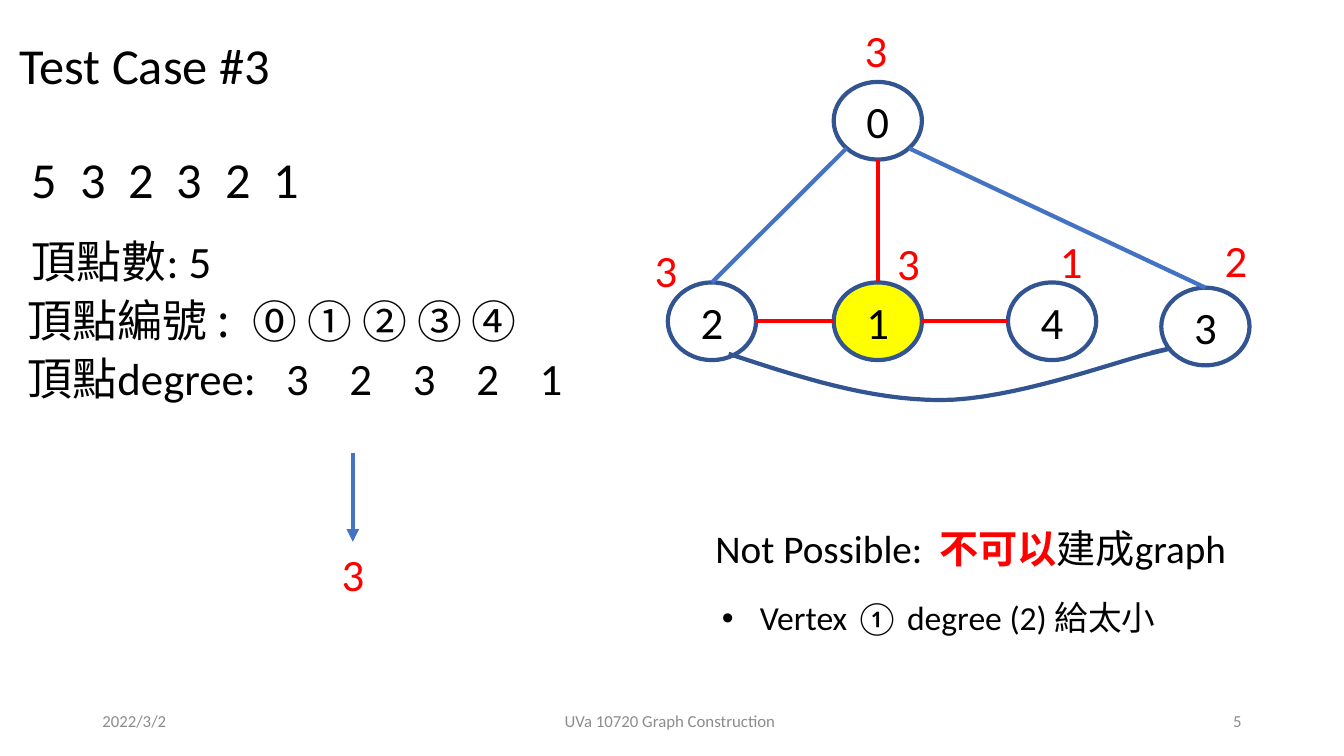
from lxml.etree import SubElement
from pptx import Presentation
from pptx.dml.color import RGBColor
from pptx.enum.shapes import MSO_CONNECTOR as Connector, MSO_SHAPE as Shape
from pptx.enum.text import MSO_ANCHOR as Anchor, MSO_AUTO_SIZE as AutoSize, PP_ALIGN as Align
from pptx.oxml.ns import qn
from pptx.util import Pt

PX = 9525
LATIN, CJK = "Calibri", "Noto Sans CJK SC"
BLACK, RED, GRAY, YELLOW = "000000", "FF0000", "8C8C8C", "FFFF00"
BLUE, NAVY = "4472C4", "325491"
NODE_W, NODE_H = 84, 74
DIAGONAL = 0.71


def px(value):
    """Turn px into EMU."""
    return round(value * PX)


def color(hex_text):
    """Turn a hex string into a colour."""
    return RGBColor.from_string(hex_text)


def write(box, spans, size, align=Align.LEFT, anchor=Anchor.TOP, tabs=()):
    """Fill a shape with one paragraph of (text, font, colour, bold) spans."""
    frame = box.text_frame
    frame.word_wrap = True
    frame.auto_size = AutoSize.NONE
    frame.vertical_anchor = anchor
    para = frame.paragraphs[0]
    para.alignment = align
    para.space_before = Pt(0)
    if tabs:
        tab_list = SubElement(para._p.get_or_add_pPr(), qn("a:tabLst"))
        for stop in tabs:
            SubElement(tab_list, qn("a:tab"), pos=str(px(stop)), algn="l")
    for text, font, hex_text, bold in spans:
        span = para.add_run()
        span.text = text
        span.font.size = Pt(size)
        span.font.bold = bold
        span.font.color.rgb = color(hex_text)
        span.font.name = font
        if font == CJK:
            SubElement(span._r.get_or_add_rPr(), qn("a:ea"), typeface=font)
    return para


def plain(text, font=LATIN, hex_text=BLACK, bold=False):
    """Describe one span of text."""
    return text, font, hex_text, bold


def place(shape, left, top, width, height):
    """Move a placeholder to a box."""
    shape.left, shape.top, shape.width, shape.height = map(px, (left, top, width, height))


def add_text(page, box, spans, size, **layout):
    """Add a text box."""
    shape = page.shapes.add_textbox(*map(px, box))
    write(shape, spans, size, **layout)


def add_degree(page, left, top, text):
    """Add a red degree number."""
    add_text(page, (left, top, 51, 61), [plain(text, hex_text=RED)], 32)


def add_line(page, start, end, hex_text, arrow=False):
    """Add a straight line, with an arrowhead at its end if asked."""
    line = page.shapes.add_connector(Connector.STRAIGHT, *map(px, (*start, *end)))
    line.line.color.rgb = color(hex_text)
    line.line.width = Pt(3)
    if arrow:
        SubElement(line.line._get_or_add_ln(), qn("a:tailEnd"), type="triangle")
    SubElement(line._element.spPr, qn("a:effectLst"))


def outline(shape, fill=None):
    """Give a shape the graph outline and an optional fill."""
    shape.shadow.inherit = False
    shape.line.color.rgb = color(NAVY)
    shape.line.width = Pt(3)
    if fill:
        shape.fill.solid()
        shape.fill.fore_color.rgb = color(fill)
    else:
        shape.fill.background()


def add_curve(page, start, segments, steps=16):
    """Add an open outline through cubic Bezier segments."""
    points, origin = [], start
    for first, second, end in segments:
        for step in range(1, steps + 1):
            t = step / steps
            weights = ((1 - t) ** 3, 3 * t * (1 - t) ** 2, 3 * t * t * (1 - t), t ** 3)
            corners = (origin, first, second, end)
            points.append(tuple(
                px(sum(w * corner[axis] for w, corner in zip(weights, corners)))
                for axis in (0, 1)))
        origin = end
    builder = page.shapes.build_freeform(px(start[0]), px(start[1]))
    builder.add_line_segments(points, close=False)
    outline(builder.convert_to_shape())


def add_input(page, left, top):
    """Place the title, the input line and its explanation."""
    place(page.shapes.title, left, top, 274, 68)
    write(page.shapes.title, [plain("Test Case #3")], 36)
    add_text(page, (left + 12, top + 108, 293, 68), [plain("5\t3\t2\t3\t2\t1")], 36,
             tabs=[46 * i for i in range(1, 6)])
    add_text(page, (left + 12, top + 190, 220, 61),
             [plain("頂點數", CJK), plain(": 5")], 32)
    add_text(page, (left + 8, top + 246, 312, 61), [plain("頂點編號 :", CJK)], 32)
    add_text(page, (left + 222, top + 247, 394, 61), [plain("⓪ ① ② ③ ④", CJK)], 32)
    add_text(page, (left + 8, top + 301, 541, 61),
             [plain("頂點", CJK), plain("degree:\t3\t2\t3\t2\t1")], 32,
             tabs=[246 + 60.4 * i for i in range(5)])
    add_line(page, (left + 327, top + 403), (left + 327, top + 488), BLUE, arrow=True)
    add_degree(page, left + 307, top + 488, "3")


def add_graph(page, left, top):
    """Place the vertices, edges and degrees of the graph."""
    vertices = {
        "0": (left + 158, top, None),
        "2": (left, top + 191, None),
        "1": (left + 158, top + 191, YELLOW),
        "4": (left + 324, top + 191, None),
        "3": (left + 470, top + 196, None),
    }

    def rim(name, across, down):
        """Give the point on a vertex's rim in a direction."""
        x, y, _ = vertices[name]
        return x + NODE_W / 2 * (1 + across), y + NODE_H / 2 * (1 + down)

    for name, (x, y, fill) in vertices.items():
        node = page.shapes.add_shape(Shape.OVAL, *map(px, (x, y, NODE_W, NODE_H)))
        outline(node, fill)
        write(node, [plain(name)], 32, align=Align.CENTER, anchor=Anchor.MIDDLE)
    add_line(page, rim("0", 0, 1), rim("1", 0, -1), RED)
    add_line(page, rim("0", -DIAGONAL, DIAGONAL), rim("2", 0, -1), BLUE)
    add_line(page, rim("0", DIAGONAL, DIAGONAL), rim("3", 0, -1), BLUE)
    add_line(page, rim("2", 1, 0), rim("1", -1, 0), RED)
    add_line(page, rim("1", 1, 0), rim("4", -1, 0), RED)

    def at(x, y):
        """Give a point relative to the graph's corner."""
        return left + x, top + y

    add_curve(page, at(58, 259), [
        (at(125, 281), at(192, 303), at(260, 303)),
        (at(327, 303), at(425, 267), at(458, 259)),
        (at(492, 251), at(476, 254), at(460, 258)),
    ])
    for x, y, degree in ((178, -61, "3"), (-22, 148, "3"), (209, 142, "3"),
                         (364, 140, "1"), (521, 139, "2")):
        add_degree(page, left + x, top + y, degree)


def add_verdict(page, left, top):
    """Place the verdict and its reason."""
    add_text(page, (left, top, 532, 55),
             [plain("Not Possible:\t"), plain("不可以", CJK, RED, True),
              plain("建成", CJK), plain("graph")], 28, tabs=[213])
    reason = page.placeholders[1]
    place(reason, left + 6, top + 69, 454, 48)
    para = write(reason, [plain("Vertex ① degree (2) "), plain("給太小", CJK)], 24)
    properties = para._p.get_or_add_pPr()
    properties.set("marL", str(px(36)))
    properties.set("indent", str(px(-36)))


def add_footer(page, top):
    """Place the date, the footer and the page number."""
    for left, width, text, align in (
            (88, 288, "2022/3/2", Align.LEFT),
            (424, 432, "UVa 10720 Graph Construction ", Align.CENTER),
            (904, 288, "5", Align.RIGHT)):
        add_text(page, (left, top, width, 38), [plain(text, hex_text=GRAY)], 12,
                 align=align, anchor=Anchor.MIDDLE)


def main():
    """Build the slide and save it."""
    deck = Presentation()
    deck.slide_width, deck.slide_height = px(1280), px(720)
    page = deck.slides.add_slide(deck.slide_layouts[1])
    add_footer(page, 667)
    add_input(page, 9, 28)
    add_graph(page, 636, 78)
    add_verdict(page, 672, 495)
    deck.save("out.pptx")


if __name__ == "__main__":
    main()
